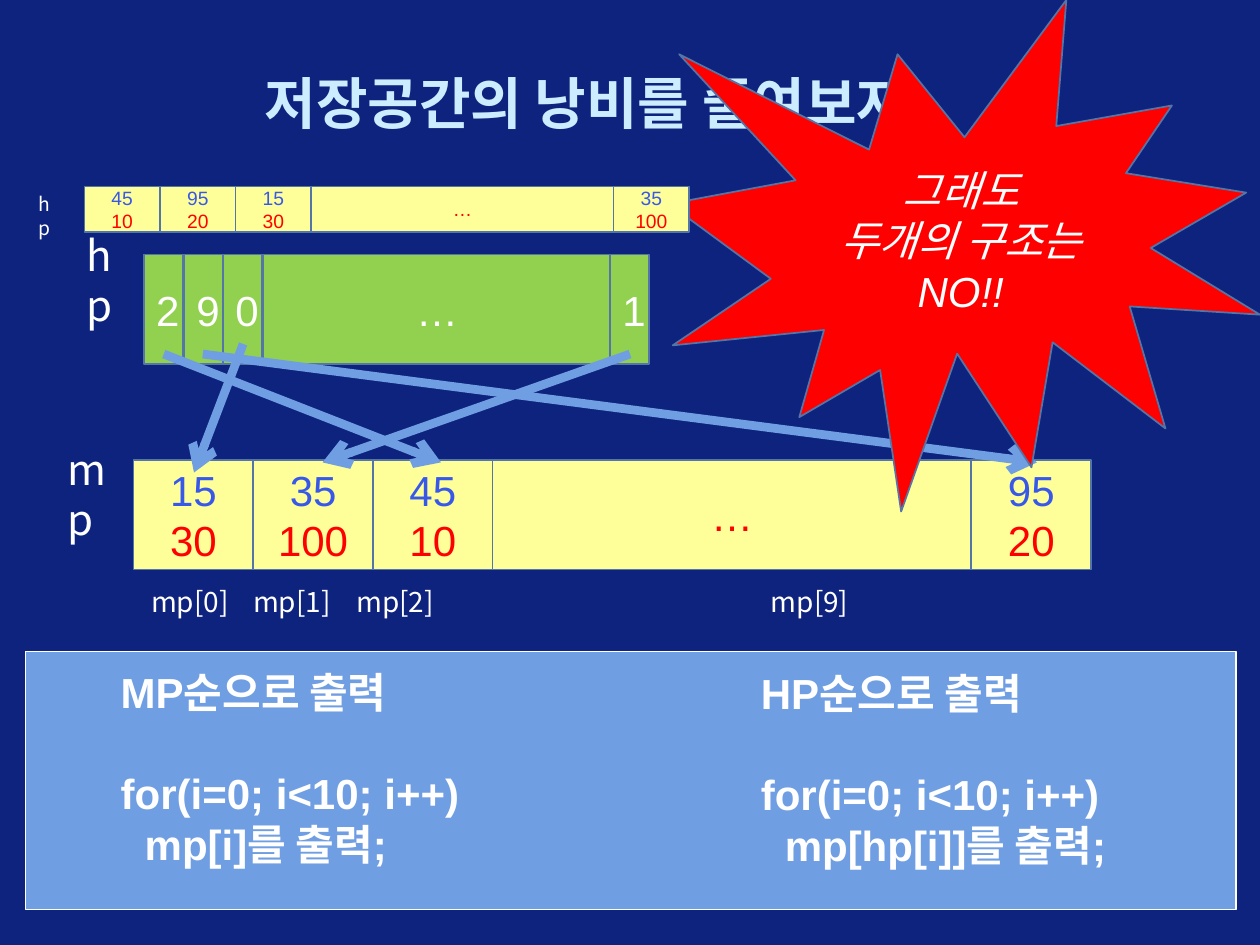
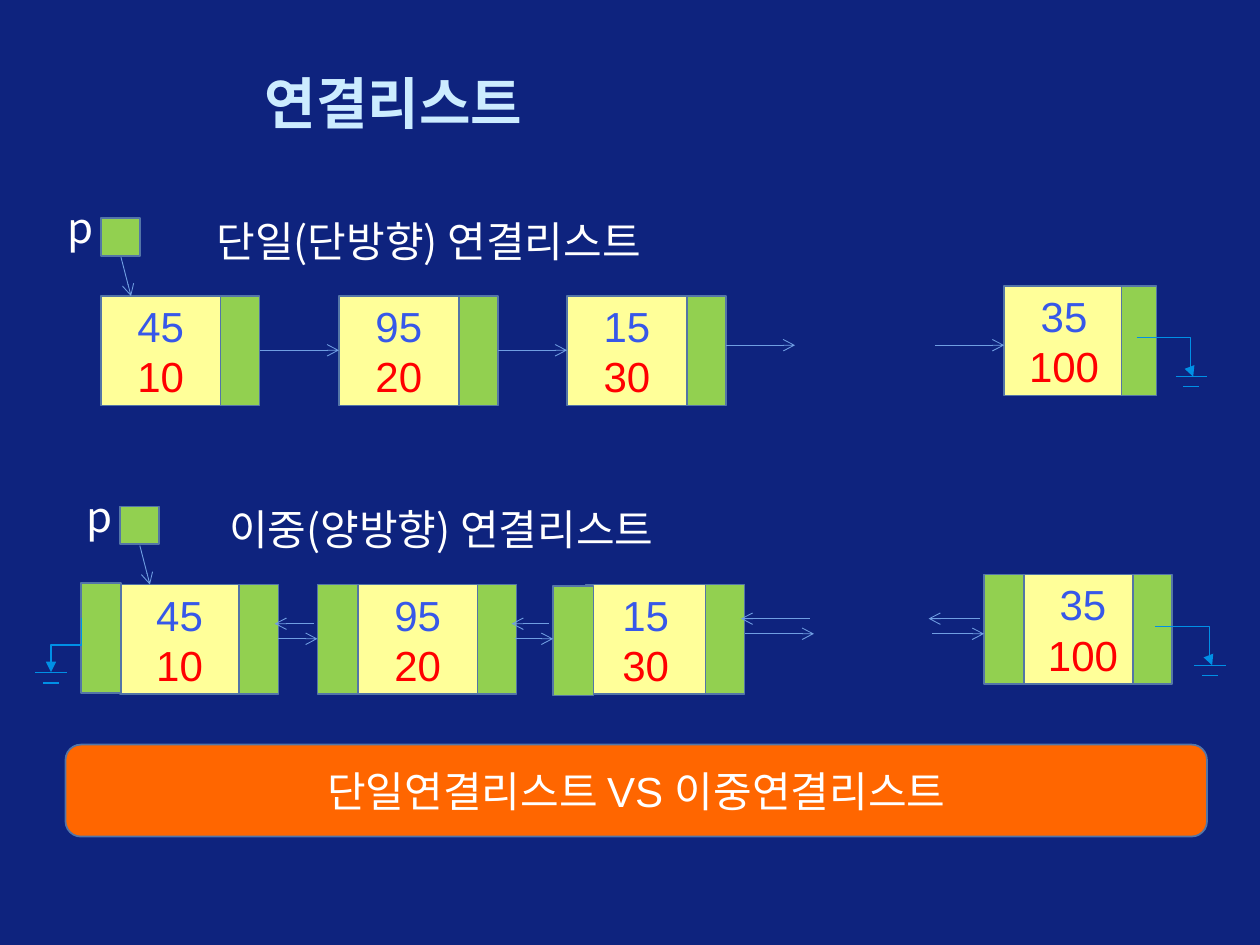
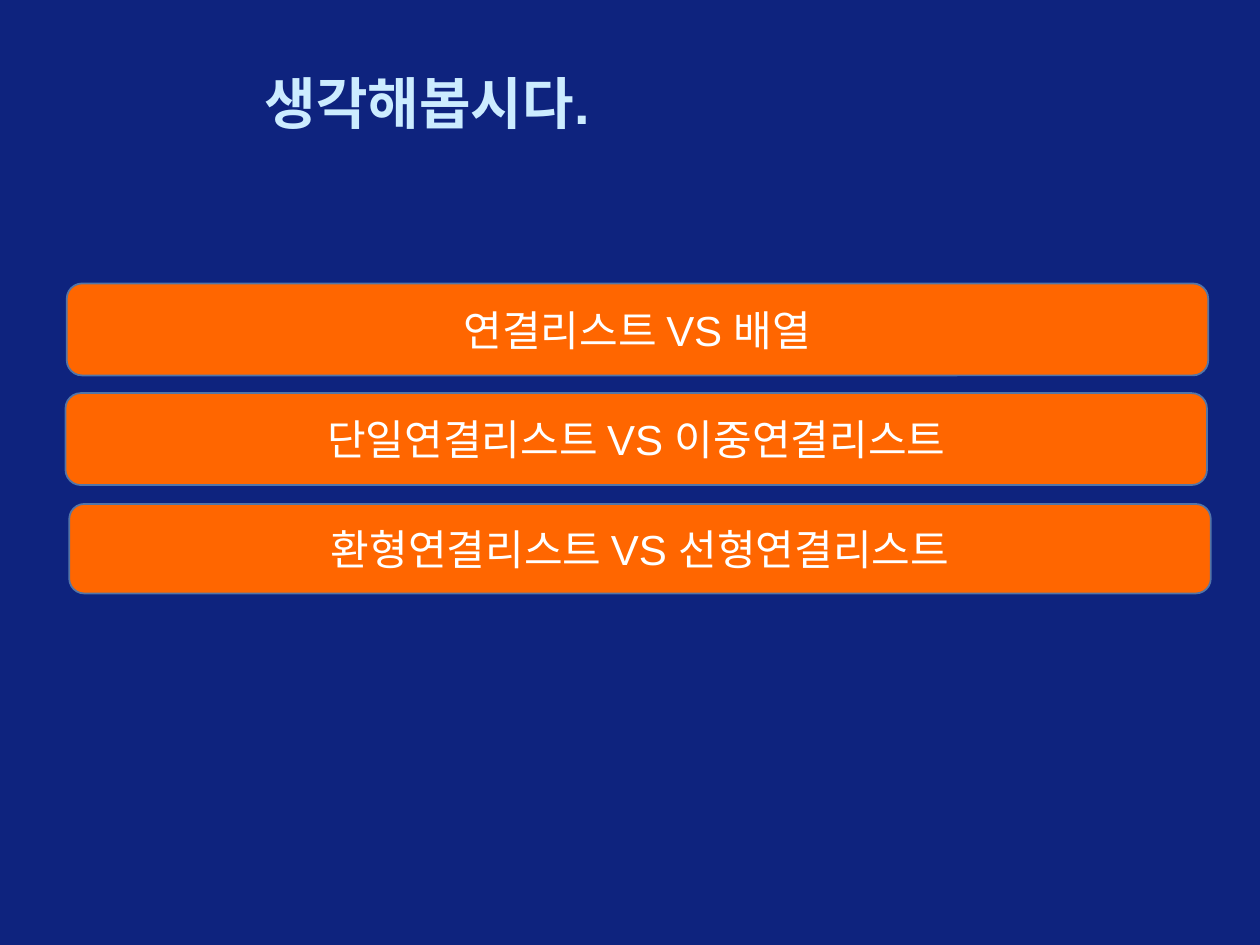
from pptx import Presentation
from pptx.dml.color import RGBColor
from pptx.enum.shapes import MSO_CONNECTOR, MSO_SHAPE
from pptx.enum.text import MSO_ANCHOR, MSO_AUTO_SIZE, PP_ALIGN
from pptx.oxml.ns import qn
from pptx.util import Inches, Pt
from lxml.etree import SubElement

WIDE, HIGH = Inches(10), Inches(7.5)
COLS = 10
NAVY, ICE, WHITE = "0E237E", "CCECFF", "FFFFFF"
CREAM, GREEN, EDGE = "FFFF99", "92D050", "5375A7"
BLUE, RED, SKY = "3758E9", "FF0000", "709EE2"
AZURE, ORANGE = "0090E6", "FF6600"
ARIAL, NOTO = "Arial", "Noto Sans CJK KR"
DEEP = 0.87


def unit(*lens):
    """Turn lengths in grid columns into slide lengths."""
    return [round(n * WIDE / COLS) for n in lens]


def tint(code):
    """Return the colour of a hex string."""
    return RGBColor.from_string(code)


def put(item, **vals):
    """Set each named value on an item."""
    for key, val in vals.items():
        setattr(item, key, val)


def write(frame, lines, inks=(WHITE,), size=24, face=ARIAL, align=PP_ALIGN.CENTER,
          anchor=MSO_ANCHOR.MIDDLE, wrap=True, **style):
    """Fill a text frame, one paragraph a line, the last ink lasting."""
    put(frame, word_wrap=wrap, auto_size=MSO_AUTO_SIZE.NONE, vertical_anchor=anchor)
    for n, line in enumerate(lines):
        para = frame.add_paragraph() if n else frame.paragraphs[0]
        para.alignment = align
        run = para.add_run()
        run.text = line
        put(run.font, name=face, size=Pt(size), **style)
        run.font.color.rgb = tint(inks[min(n, len(inks) - 1)])
        SubElement(run.font._element, qn("a:ea"), typeface=NOTO)


def indent(para, left=0, tabs=()):
    """Give a paragraph a left margin and tab stops."""
    props = para._p.get_or_add_pPr()
    props.set("marL", str(unit(left)[0]))
    if tabs:
        stops = SubElement(props, qn("a:tabLst"))
        for stop in unit(*tabs):
            SubElement(stops, qn("a:tab"), pos=str(stop), algn="l")


def box(page, spot, fill, lines=(), kind=MSO_SHAPE.RECTANGLE, edge=EDGE, thick=1, **style):
    """Draw a filled preset shape with centred text."""
    form = page.shapes.add_shape(kind, *unit(*spot))
    form.shadow.inherit = False
    form.fill.solid()
    form.fill.fore_color.rgb = tint(fill)
    form.line.color.rgb = tint(edge)
    form.line.width = Pt(thick)
    write(form.text_frame, lines, **style)


def cell(page, spot, lines, size=24):
    """Draw a cream cell with a blue first value and a red second."""
    inks = (BLUE, RED) if len(lines) > 1 else (RED,)
    box(page, spot, CREAM, lines, inks=inks, size=size)


def label(page, spot, *lines, face=NOTO, wrap=False, **style):
    """Add plain text at the top left of a box."""
    frame = page.shapes.add_textbox(*unit(*spot)).text_frame
    write(frame, lines, face=face, wrap=wrap, align=PP_ALIGN.LEFT,
          anchor=MSO_ANCHOR.TOP, **style)
    return frame.paragraphs


def link(page, ends, ink=SKY, thick=0.5, head=None, tail=None, bend=None, turn=0):
    """Draw a straight or bent line with optional arrowheads."""
    kind = MSO_CONNECTOR.ELBOW if bend else MSO_CONNECTOR.STRAIGHT
    wire = page.shapes.add_connector(kind, *unit(*ends))
    wire.line.color.rgb = tint(ink)
    wire.line.width = Pt(thick)
    props = wire._element.spPr
    for tag, tip in (("a:headEnd", head), ("a:tailEnd", tail)):
        if tip:
            SubElement(props.find(qn("a:ln")), qn(tag), type=tip)
    SubElement(props, qn("a:effectLst"))
    if bend:
        geom = props.find(qn("a:prstGeom"))
        guides = geom.find(qn("a:avLst"))
        if guides is None:
            guides = SubElement(geom, qn("a:avLst"))
        SubElement(guides, qn("a:gd"), name="adj1", fmla=f"val {round(bend * 100000)}")
    if turn:
        props.find(qn("a:xfrm")).set("rot", str(turn * 60000))


def ground(page, ends, left, top, bend, turn=0):
    """Draw a null link: a bent arrow down to two short bars."""
    link(page, ends, AZURE, 0.75, tail="triangle", bend=bend, turn=turn)
    for inset, drop in ((0, 0), (0.06, 0.08)):
        link(page, (left + inset, top + drop, left + 0.25 - inset, top + drop), AZURE, 0.75)


def bar(page, left, top, text, high=0.73):
    """Draw a wide rounded orange bar."""
    box(page, (left, top, 9.06, high), ORANGE, [text], MSO_SHAPE.ROUNDED_RECTANGLE)


def start(deck, text):
    """Add a slide with its title in the shared style."""
    page = deck.slides.add_slide(deck.slide_layouts[5])
    title = page.shapes.title
    left, top, width, height = unit(2, 0.5, 7.58, 0.62)
    put(title, left=left, top=top, width=width, height=height)
    write(title.text_frame, [text], (ICE,), 32, align=PP_ALIGN.LEFT, bold=True)
    return page


def row(page, left, top, step, high, size, items):
    """Draw five cells, the fourth being four steps wide."""
    for n, lines in enumerate(items):
        place = n + 3 * (n == 4)
        wide = 4 * step if n == 3 else step
        cell(page, (left + place * step, top, wide, high), lines, size)


def code(page, spot, name, call):
    """Add a bold heading over a two-line loop."""
    paras = label(page, spot, f"{name}순으로 출력", "for(i=0; i<10; i++)",
                  f"{call}를 출력;", face=ARIAL, bold=True)
    paras[0].space_after = Pt(29)
    indent(paras[2], 0.19)


def space(deck):
    """Build the slide on saving storage."""
    page = start(deck, "저장공간의 낭비를 줄여보자.")
    row(page, 1.06, 3.65, 0.95, DEEP, 24,
        (("15", "30"), ("35", "100"), ("45", "10"), "…", ("95", "20")))
    slots = ((1.14, 0.31), (1.46, 0.32), (1.77, 0.31), (2.09, 2.76), (4.84, 0.31))
    for (left, wide), text in zip(slots, "290…1"):
        box(page, (left, 2.02, wide, DEEP), GREEN, [text])
    for ends in ((1.3, 2.81, 3.5, 3.67), (1.61, 2.81, 8.23, 3.67),
                 (1.93, 2.73, 1.54, 3.75), (5, 2.81, 2.56, 3.67)):
        link(page, ends, thick=5, tail="arrow")
    marks = label(page, (1.1, 4.59, 7.72, 0.37), "mp[0]\tmp[1]\tmp[2]\tmp[9]", size=16, wrap=True)
    indent(marks[0], tabs=(0.81, 1.63, 4.92))
    label(page, (0.59, 1.77, 0.6, 0.5), "hp", wrap=True)
    box(page, (0.2, 5.17, 9.61, 2.05), SKY, edge=WHITE, thick=0.75)
    code(page, (0.86, 5.24, 2.95, 1.72), "MP", "mp[i]")
    code(page, (5.94, 5.25, 3.13, 1.72), "HP", "mp[hp[i]]")
    label(page, (0.44, 3.47, 0.69, 0.5), "mp", wrap=True)
    box(page, (5.31, 0, 4.69, 4.06), RED, ("그래도", "두개의 구조는", "NO!!"),
        MSO_SHAPE.EXPLOSION1, italic=True)
    row(page, 0.67, 1.48, 0.6, 0.36, 11,
        (("45", "10"), ("95", "20"), ("15", "30"), "…", ("35", "100")))
    label(page, (0.21, 1.48, 0.24, 0.29), "hp", size=11, wrap=True)


def chain(page, right, down, last):
    """Draw four linked nodes with their pointer, moved right and down."""
    nodes = ((7.97, 2.27, "35", "100"), (0.8, 2.35, "45", "10"),
             (2.69, 2.35, "95", "20"), (4.5, 2.35, "15", "30"))
    for left, top, first, second in nodes:
        spot = left + right, top + down
        cell(page, (*spot, 0.95, DEEP), (first, second))
        gap, wide = last if first == "35" else (0.95, 0.31)
        box(page, (spot[0] + gap, spot[1], wide, DEEP), GREEN)
    box(page, (0.8 + right, 1.73 + down, 0.31, 0.3), GREEN)
    link(page, (0.96 + right, 2.04 + down, 1.04 + right, 2.35 + down), tail="arrow")
    label(page, (0.44 + right, 1.55 + down, 0.41, 0.5), "p")
    ground(page, (9.02 + right, 2.68 + down, 9.47 + right, 2.99 + down),
           9.33 + right, 2.99 + down, 0.95)


def lists(deck):
    """Build the slide on single and double linked lists."""
    page = start(deck, "연결리스트")
    chain(page, 0, 0, (0.93, 0.28))
    for left, end, top in ((2.06, 2.69, 2.78), (3.95, 4.5, 2.78),
                           (5.76, 6.31, 2.74), (7.42, 7.97, 2.74)):
        link(page, (left, top, end, top), tail="arrow")
    chain(page, 0.15, 2.29, (0.87, 0.31))
    for left, top in ((0.64, 4.63), (2.52, 4.64), (4.39, 4.65), (7.81, 4.56)):
        box(page, (left, top, 0.32, DEEP), GREEN)
    for left, end, top in ((2.21, 2.52, 5.07), (4.09, 4.39, 5.07),
                           (5.91, 6.46, 5.03), (7.4, 7.81, 5.03)):
        link(page, (left, top, end, top), tail="arrow")
        link(page, (left - 0.03, top - 0.12, end - 0.03, top - 0.12), head="arrow")
    ground(page, (0.31, 5, 0.74, 5.24), 0.28, 5.34, 0.5, 90)
    label(page, (1.62, 1.66, 3.93, 0.5), "단일(단방향) 연결리스트")
    label(page, (1.72, 3.95, 3.93, 0.5), "이중(양방향) 연결리스트")
    bar(page, 0.52, 5.91, "단일연결리스트 VS 이중연결리스트")


def think(deck):
    """Build the slide of questions to think about."""
    page = start(deck, "생각해봅시다.")
    bar(page, 0.53, 2.25, "연결리스트 VS 배열")
    bar(page, 0.52, 3.12, "단일연결리스트 VS 이중연결리스트")
    bar(page, 0.55, 4, "환형연결리스트 VS 선형연결리스트", 0.71)


def main():
    """Build and save the deck."""
    deck = Presentation()
    put(deck, slide_width=WIDE, slide_height=HIGH)
    back = deck.slide_master.background.fill
    back.solid()
    back.fore_color.rgb = tint(NAVY)
    for build in (space, lists, think):
        build(deck)
    deck.save("out.pptx")


main()
